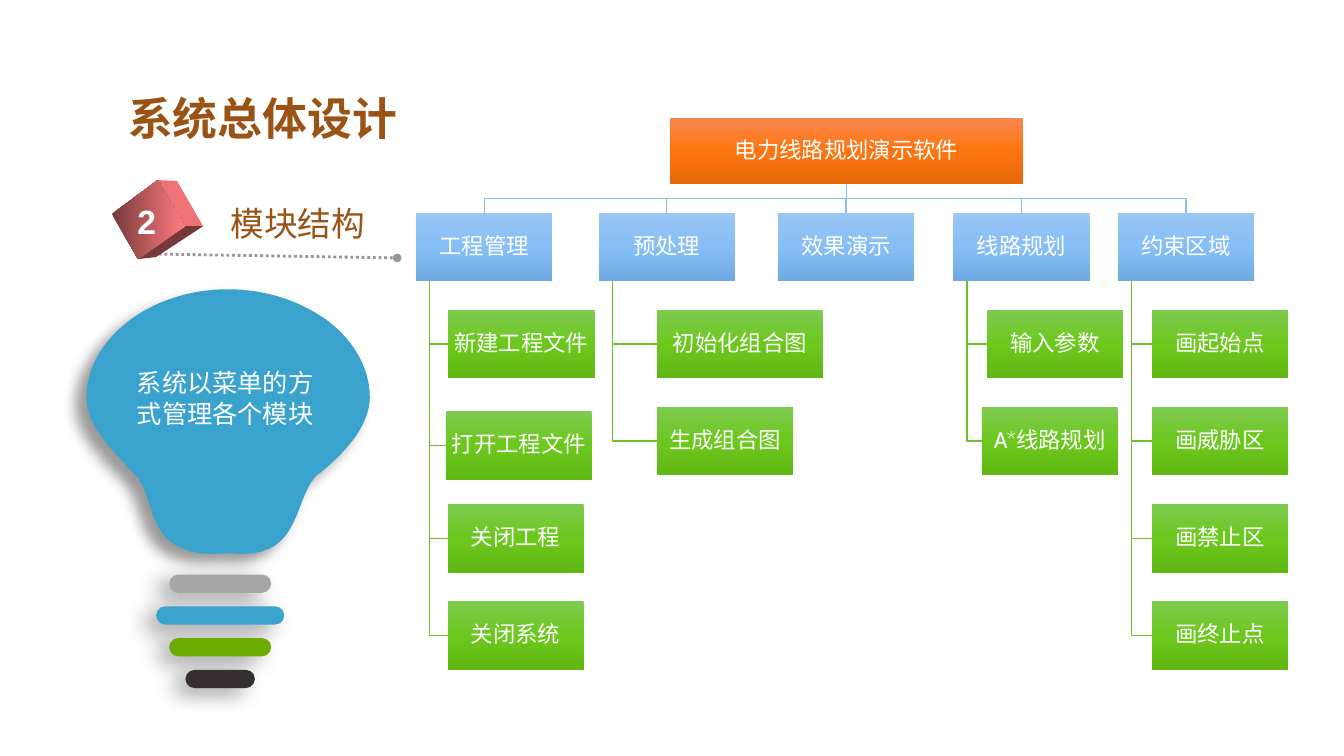
"""Build the module structure slide: a light bulb beside a three-level tree."""
import copy
from dataclasses import dataclass

import pptx
import pptx.dml.color
import pptx.enum.dml
import pptx.enum.shapes
import pptx.enum.text
import pptx.oxml
import pptx.oxml.ns
import pptx.util

Cm = pptx.util.Cm
Pt = pptx.util.Pt
RECT = pptx.enum.shapes.MSO_SHAPE.RECTANGLE
PILL = pptx.enum.shapes.MSO_SHAPE.ROUNDED_RECTANGLE
CENTER = pptx.enum.text.PP_ALIGN.CENTER
LEFT = pptx.enum.text.PP_ALIGN.LEFT


@dataclass(frozen=True)
class Theme:
    """Colours, fonts and type sizes of the slide."""
    white: str = "FFFFFF"
    brown: str = "9A5315"
    blue: str = "39A3CD"
    dots: str = "969696"
    module_line: str = "8BBEF1"
    leaf_line: str = "6DC025"
    root_fill: tuple = ("F7874E", "FE750F", "E5680A")
    module_fill: tuple = ("9AC6F4", "86BEF6", "70A9E1")
    leaf_fill: tuple = ("7ECA50", "6CC81D", "60B813")
    cube_front: tuple = ("76393B", "FF7C80")
    cube_side: str = "ED7377"
    cube_base: str = "76393B"
    heading_font: str = "Arial"
    body_font: str = "Cabin"
    title_size: int = 32
    subtitle_size: int = 24
    body_size: int = 18
    box_size: int = 16


@dataclass(frozen=True)
class Leaf:
    """A function under a module, in centimetres."""
    label: str
    left: float
    width: float = 3.43
    drop: float = 0


THEME = Theme()
ROOT = ("电力线路规划演示软件", 16.89, 2.97, 8.89, 1.68)
MODULE_TOP, BOX_WIDTH, BOX_HEIGHT = 5.36, 3.43, 1.73
STEM_INSET = 0.34
LEAF_TOP, LEAF_PITCH = 7.8, 2.45
MODULES = [
    ("工程管理", 10.49, [Leaf("新建工程文件", 11.28, 3.71), Leaf("打开工程文件", 11.25, 3.66, 0.11),
                     Leaf("关闭工程", 11.28), Leaf("关闭系统", 11.28)]),
    ("预处理", 15.09, [Leaf("初始化组合图", 16.56, 4.17), Leaf("生成组合图", 16.56)]),
    ("效果演示", 19.61, []),
    ("线路规划", 24.03, [Leaf("输入参数", 24.87), Leaf("A*线路规划", 24.74)]),
    ("约束区域", 28.17, [Leaf(label, 29.03) for label in ("画起始点", "画威胁区", "画禁止区", "画终止点")]),
]
BULB_START = (2.18, 10.01)
BULB_CURVES = [
    ((2.18, 9.3), (2.57, 8.61), (3.23, 8.1)),
    ((3.89, 7.59), (4.8, 7.29), (5.74, 7.29)),
    ((6.71, 7.29), (7.59, 7.59), (8.28, 8.1)),
    ((8.94, 8.61), (9.32, 9.3), (9.32, 10.01)),
    ((9.32, 10.74), (8.69, 11.43), (7.95, 12.01)),
    ((7.37, 12.67), (7.59, 14.15), (5.79, 13.94)),
    ((3.56, 14.15), (4.01, 12.62), (3.43, 11.99)),
    ((2.82, 11.33), (2.18, 10.74), (2.18, 10.01)),
]
BULB_CENTER, BAR_TOP, BAR_PITCH, BAR_HEIGHT = 5.55, 14.48, 0.8, 0.46
BARS = [(2.57, "A6A6A6"), (3.23, THEME.blue), (2.57, "6CAC00"), (1.75, "352F2F")]


def rgb(code):
    """Turn a hex code into a colour."""
    return pptx.dml.color.RGBColor.from_string(code)


def paint(shape, fill, angle=270):
    """Fill a shape with one colour, or with evenly spaced gradient colours."""
    shape.shadow.inherit = False
    shape.line.fill.background()
    if isinstance(fill, str):
        shape.fill.solid()
        shape.fill.fore_color.rgb = rgb(fill)
        return
    shape.fill.gradient()
    shape.fill.gradient_angle = angle
    stop_list = shape.fill._fill._gradFill.find(pptx.oxml.ns.qn("a:gsLst"))
    for _ in fill[2:]:
        stop_list.append(copy.deepcopy(stop_list[0]))
    for index, (stop, code) in enumerate(zip(shape.fill.gradient_stops, fill)):
        stop.position = index / (len(fill) - 1)
        stop.color.rgb = rgb(code)


def cast_shadow(shape, blur, distance, degrees):
    """Give a painted shape a soft black shadow."""
    effects = shape._element.spPr.find(pptx.oxml.ns.qn("a:effectLst"))
    effects.append(pptx.oxml.parse_xml(
        f'<a:outerShdw {pptx.oxml.ns.nsdecls("a")} blurRad="{Pt(blur)}" dist="{Pt(distance)}" '
        f'dir="{degrees * 60000}" algn="ctr" rotWithShape="0">'
        '<a:srgbClr val="000000"><a:alpha val="40000"/></a:srgbClr></a:outerShdw>'))


def write(frame, words, size, color, font, align=CENTER, bold=False):
    """Set the single paragraph of a text frame."""
    paragraph = frame.paragraphs[0]
    paragraph.text = words
    paragraph.alignment = align
    paragraph.font.size = Pt(size)
    paragraph.font.name = font
    paragraph.font.bold = bold
    paragraph.font.color.rgb = rgb(color)
    return paragraph


def add_label(slide, words, place, size, color, font, align=CENTER, bold=False, wrap=True):
    """Add free-standing text."""
    frame = slide.shapes.add_textbox(*map(Cm, place)).text_frame
    frame.word_wrap = wrap
    write(frame, words, size, color, font, align, bold)


def add_box(slide, words, left, top, width, height, fill):
    """Add one labelled box of the tree."""
    box = slide.shapes.add_shape(RECT, Cm(left), Cm(top), Cm(width), Cm(height))
    paint(box, fill)
    frame = box.text_frame
    frame.word_wrap = True
    frame.vertical_anchor = pptx.enum.text.MSO_ANCHOR.MIDDLE
    frame.margin_left = frame.margin_right = frame.margin_top = frame.margin_bottom = Cm(0.03)
    write(frame, words, THEME.box_size, THEME.white, THEME.body_font).line_spacing = 0.9


def add_outline(slide, points, close=True):
    """Add a freeform through points given in centimetres."""
    start, *rest = [(Cm(x), Cm(y)) for x, y in points]
    builder = slide.shapes.build_freeform(*start)
    builder.add_line_segments(rest, close=close)
    return builder.convert_to_shape()


def add_branch(slide, points, color):
    """Add an angled line between two levels of the tree."""
    branch = add_outline(slide, points, close=False)
    branch.shadow.inherit = False
    branch.fill.background()
    branch.line.color.rgb = rgb(color)
    branch.line.width = Pt(1)


def add_tree(slide):
    """Add the branches, then the boxes over them."""
    _, root_left, root_top, root_width, root_height = ROOT
    root_x, root_bottom = root_left + root_width / 2, root_top + root_height
    bus = (root_bottom + MODULE_TOP) / 2
    boxes = [(*ROOT, THEME.root_fill)]
    for name, left, leaves in MODULES:
        x, stem = left + BOX_WIDTH / 2, left + STEM_INSET
        add_branch(slide, [(root_x, root_bottom), (root_x, bus), (x, bus), (x, MODULE_TOP)], THEME.module_line)
        boxes.append((name, left, MODULE_TOP, BOX_WIDTH, BOX_HEIGHT, THEME.module_fill))
        for row, leaf in enumerate(leaves):
            top = LEAF_TOP + row * LEAF_PITCH + leaf.drop
            middle = top + BOX_HEIGHT / 2
            add_branch(slide, [(stem, MODULE_TOP + BOX_HEIGHT), (stem, middle), (leaf.left, middle)],
                       THEME.leaf_line)
            boxes.append((leaf.label, leaf.left, top, leaf.width, BOX_HEIGHT, THEME.leaf_fill))
    for box in boxes:
        add_box(slide, *box)


def add_heading(slide):
    """Add the title, the numbered cube and the dotted rule."""
    add_label(slide, "系统总体设计", (2.95, 2.16, 7.34, 1.63), THEME.title_size, THEME.brown,
              THEME.heading_font, bold=True)
    rule = slide.shapes.add_connector(pptx.enum.shapes.MSO_CONNECTOR.STRAIGHT,
                                      Cm(3.86), Cm(6.4), Cm(10.01), Cm(6.5))
    rule.line.color.rgb = rgb(THEME.dots)
    rule.line.width = Pt(2)
    rule.line.dash_style = pptx.enum.dml.MSO_LINE.ROUND_DOT
    namespace = pptx.oxml.ns.nsdecls("a")
    rule.line._get_or_add_ln().append(pptx.oxml.parse_xml(f'<a:tailEnd {namespace} type="oval"/>'))
    rule._element.spPr.append(pptx.oxml.parse_xml(f"<a:effectLst {namespace}/>"))
    west, north, east, south = (2.82, 5.39), (3.98, 4.54), (4.66, 5.7), (3.48, 6.53)
    far_north, far_east, far_south = (4.46, 4.56), (5.12, 5.7), (3.93, 6.48)
    paint(add_outline(slide, [north, far_north, far_east, east]), THEME.cube_side)
    paint(add_outline(slide, [east, far_east, far_south, south]), THEME.cube_base)
    paint(add_outline(slide, [west, north, east, south]), THEME.cube_front, angle=0)
    add_label(slide, "模块结构", (5.56, 4.98, 3.94, 1.3), THEME.subtitle_size, THEME.brown,
              THEME.heading_font, align=LEFT, wrap=False)
    add_label(slide, "2", (3.2, 4.93, 0.99, 1.3), THEME.subtitle_size, THEME.white,
              THEME.heading_font, bold=True, wrap=False)


def trace_curves(start, curves, steps=16):
    """List points along a chain of cubic curves."""
    points = [start]
    for a, b, end in curves:
        for t in (step / steps for step in range(1, steps + 1)):
            weights = ((1 - t) ** 3, 3 * t * (1 - t) ** 2, 3 * t * t * (1 - t), t ** 3)
            points.append(tuple(sum(w * p[axis] for w, p in zip(weights, (start, a, b, end)))
                                for axis in (0, 1)))
        start = end
    return points


def add_bulb(slide):
    """Add the light bulb, its base bars and its message."""
    bulb = add_outline(slide, trace_curves(BULB_START, BULB_CURVES))
    paint(bulb, THEME.blue)
    cast_shadow(bulb, 10, 10, 140)
    for row, (width, color) in enumerate(BARS):
        bar = slide.shapes.add_shape(PILL, Cm(BULB_CENTER - width / 2), Cm(BAR_TOP + row * BAR_PITCH),
                                     Cm(width), Cm(BAR_HEIGHT))
        bar.adjustments[0] = 0.5
        paint(bar, color)
        cast_shadow(bar, 16, 9, 150)
    add_label(slide, "系统以菜单的方式管理各个模块", (3.2, 9.14, 5.13, 1.8), THEME.body_size, THEME.white,
              THEME.body_font, align=LEFT)


def main():
    """Build and save the slide."""
    deck = pptx.Presentation()
    deck.slide_width, deck.slide_height = Cm(33.87), Cm(19.05)
    slide = deck.slides.add_slide(deck.slide_layouts[6])
    add_tree(slide)
    add_heading(slide)
    add_bulb(slide)
    deck.save("out.pptx")


if __name__ == "__main__":
    main()
